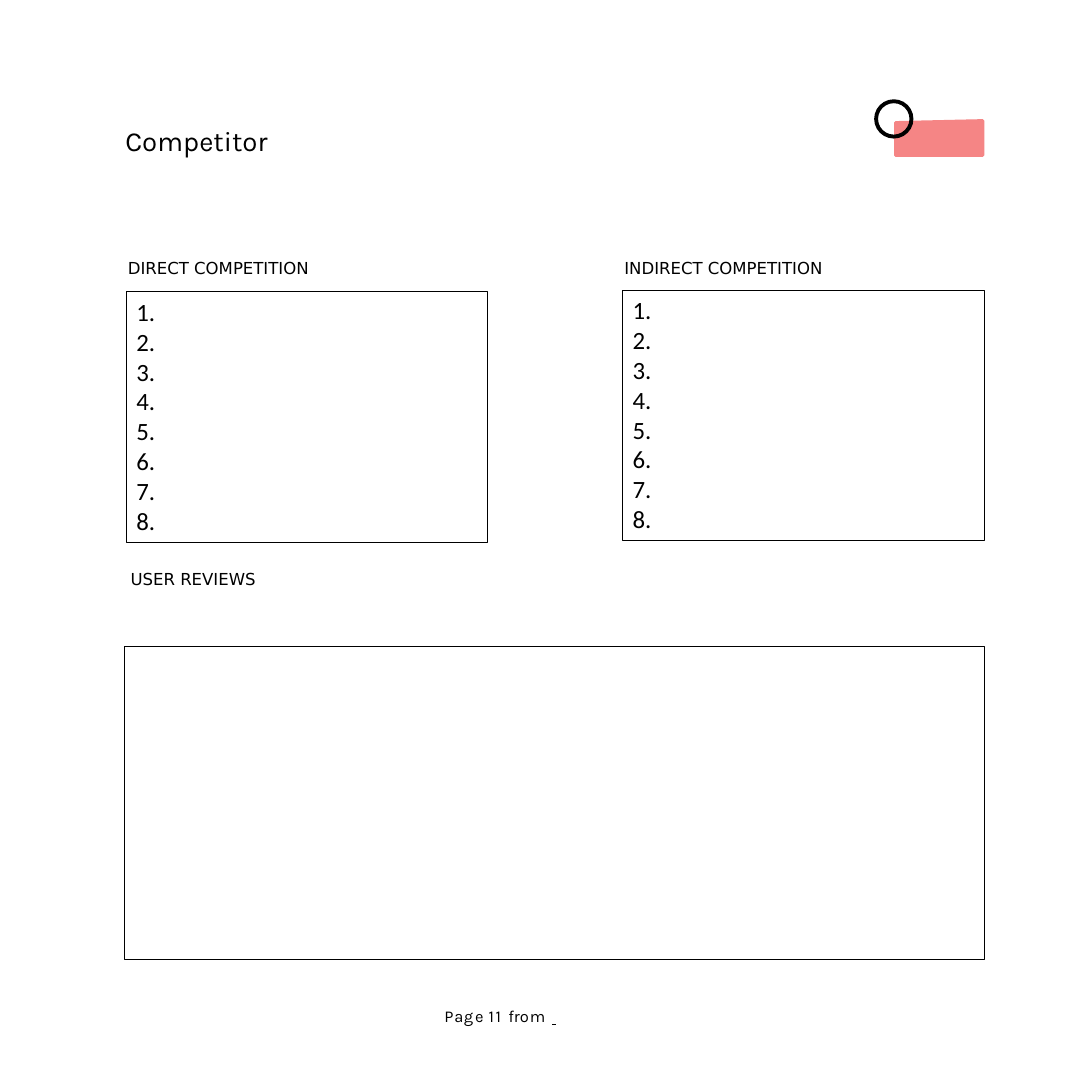
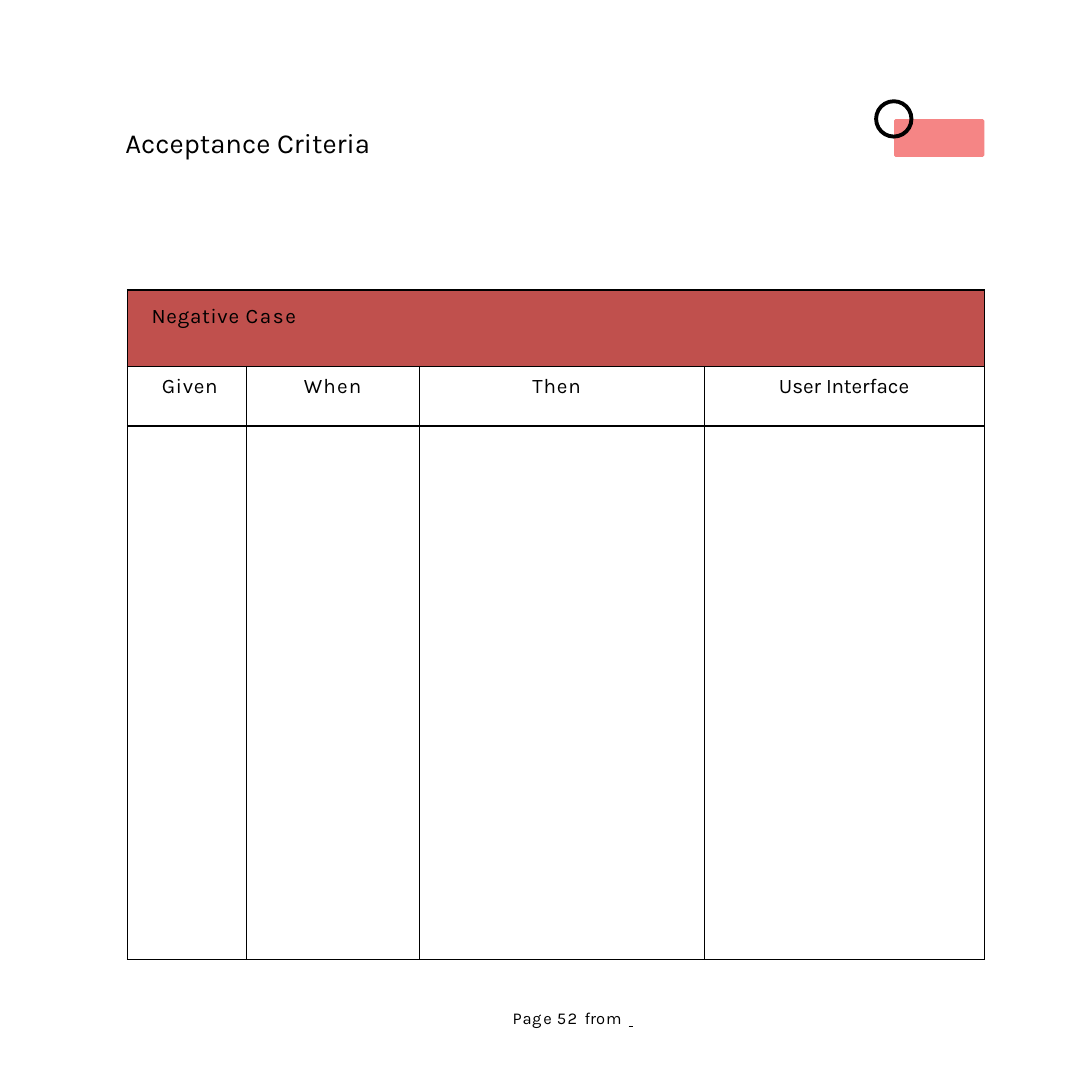
from dataclasses import dataclass
from typing import Optional

from lxml.etree import SubElement
from pptx import Presentation
from pptx.dml.color import RGBColor
from pptx.enum.shapes import MSO_SHAPE
from pptx.enum.text import MSO_ANCHOR, PP_ALIGN
from pptx.oxml.ns import qn
from pptx.util import Pt

COLORS = {"ink": "000000", "accent": "F58585", "negative": "C0504D"}
BODY_FONT = "Karla"
LABEL_FONT = "DejaVu Sans"
BLANK_FONT = "Times New Roman"
RIGHT = 713.9


@dataclass
class Box:
    left: float
    top: float
    width: float
    height: float

    def lengths(self) -> tuple:
        return Pt(self.left), Pt(self.top), Pt(self.width), Pt(self.height)


@dataclass
class Label:
    text: str
    box: Box


@dataclass
class Tracked:
    text: str
    spacing: float


@dataclass
class Heading:
    pieces: list[Tracked]
    align: PP_ALIGN = PP_ALIGN.LEFT
    left: float = 0
    right: float = 0


LABELS = [
    Label("DIRECT COMPETITION", Box(91.8, 186, 138.24, 15.84)),
    Label("INDIRECT COMPETITION", Box(451.9, 186, 151.92, 15.84)),
    Label("USER REVIEWS", Box(93.8, 411.84, 96.48, 15.84)),
]
LIST_BOXES = [Box(91.8, 211.68, 262.08, 181.44), Box(451.8, 210.5, 262.08, 181.44)]
REVIEW_BOX = Box(90, 469.1, 624, 226.8)
TABLE_BOX = Box(92.5, 210.3, 621.36, 486)
COLUMN_WIDTHS = [86.4, 125.28, 206.64, 203.04]
ROW_HEIGHTS = [55.44, 43.2, 387.2]
BANNER = [Tracked("Negative ", 0.5), Tracked("Case", 1.2)]
HEADINGS = [
    Heading([Tracked("Given", 0.5)], left=25),
    Heading([Tracked("When", 0.9)], PP_ALIGN.CENTER, right=0.5),
    Heading([Tracked("Then", 0.6)], PP_ALIGN.CENTER, right=7.5),
    Heading([Tracked("Use", -0.1), Tracked("r ", 0), Tracked("Inter", -0.1),
             Tracked("f", 0), Tracked("ac", -0.1), Tracked("e", 0)], left=54.2),
]


def color(name: str) -> RGBColor:
    return RGBColor.from_string(COLORS[name])


def write(paragraph, text: str, *, size: float, font: Optional[str] = BODY_FONT,
          spacing: float = 0, underline: bool = False) -> None:
    run = paragraph.add_run()
    run.text = text
    run.font.size = Pt(size)
    run.font.color.rgb = color("ink")
    if font:
        run.font.name = font
    if underline:
        run.font.underline = True
    if spacing:
        run._r.get_or_add_rPr().set("spc", str(round(spacing * 100)))


def write_tracked(paragraph, pieces: list[Tracked], size: float) -> None:
    for piece in pieces:
        write(paragraph, piece.text, size=size, spacing=piece.spacing)


def set_margins(target, left: float, top: float, right: float, bottom: float) -> None:
    target.margin_left, target.margin_top = Pt(left), Pt(top)
    target.margin_right, target.margin_bottom = Pt(right), Pt(bottom)


def add_text(slide, box: Box, inset: float = 0):
    frame = slide.shapes.add_textbox(*box.lengths()).text_frame
    frame.word_wrap = True
    set_margins(frame, 0.9, inset, 0, 0)
    return frame.paragraphs[0]


def add_outline(slide, box: Box):
    shape = slide.shapes.add_shape(MSO_SHAPE.RECTANGLE, *box.lengths())
    shape.shadow.inherit = False
    shape.fill.background()
    shape.line.color.rgb = color("ink")
    shape.line.width = Pt(0.75)
    return shape


def add_numbered_box(slide, box: Box, count: int = 8) -> None:
    frame = add_outline(slide, box).text_frame
    frame.vertical_anchor = MSO_ANCHOR.TOP
    set_margins(frame, 7.2, 3.6, 7.2, 3.6)
    for number in range(1, count + 1):
        paragraph = frame.paragraphs[0] if number == 1 else frame.add_paragraph()
        paragraph.alignment = PP_ALIGN.LEFT
        paragraph.line_spacing = Pt(21.6)
        write(paragraph, f"{number}.", size=18, font=None)


def fill_plain(shape, name: str) -> None:
    shape.shadow.inherit = False
    shape.fill.solid()
    shape.fill.fore_color.rgb = color(name)
    shape.line.fill.background()


def add_emblem(slide, slant: float) -> None:
    left, top, bottom, cut = 648.4, 86.4, 113.76, 1.08
    points = [
        (left + cut, top + slant), (RIGHT - cut, top), (RIGHT, top + cut),
        (RIGHT, bottom - cut), (RIGHT - cut, bottom), (left + cut, bottom),
        (left, bottom - cut), (left, top + slant + cut),
    ]
    corners = [(Pt(x), Pt(y)) for x, y in points]
    builder = slide.shapes.build_freeform(*corners[0])
    builder.add_line_segments(corners[1:], close=True)
    fill_plain(builder.convert_to_shape(), "accent")
    ring = slide.shapes.add_shape(MSO_SHAPE.DONUT, *Box(634, 72, 28.5, 28.5).lengths())
    ring.adjustments[0] = 0.1
    fill_plain(ring, "ink")


def add_footer(slide, page: int, left: float, top: float) -> None:
    paragraph = add_text(slide, Box(left, top, 101.52, 14.4))
    paragraph.line_spacing = Pt(14.1)
    tabs = SubElement(paragraph._p.get_or_add_pPr(), qn("a:tabLst"))
    SubElement(tabs, qn("a:tab"), pos=str(Pt(97.2)), algn="l")
    pieces = [
        Tracked("P", 0.7), Tracked("a", 0.2), Tracked("g", 1.4), Tracked("e ", 0.4),
        Tracked(f"{page} ", 1.2), Tracked("fr", -0.1), Tracked("o", 0.7),
        Tracked("m ", 1.1),
    ]
    write_tracked(paragraph, pieces, 12)
    write(paragraph, " \t", size=12, font=BLANK_FONT, underline=True)


def add_page(presentation, title: str, title_box: Box, inset: float, slant: float):
    slide = presentation.slides.add_slide(presentation.slide_layouts[6])
    write(add_text(slide, title_box, inset), title, size=20)
    add_emblem(slide, slant)
    return slide


def set_borders(cell) -> None:
    properties = cell._tc.get_or_add_tcPr()
    for position, side in enumerate(("lnL", "lnR", "lnT", "lnB")):
        line = SubElement(properties, qn(f"a:{side}"), w=str(Pt(1)))
        fill = SubElement(line, qn("a:solidFill"))
        SubElement(fill, qn("a:srgbClr"), val=COLORS["ink"])
        properties.insert(position, line)


def add_case_table(slide) -> None:
    table = slide.shapes.add_table(
        len(ROW_HEIGHTS), len(COLUMN_WIDTHS), *TABLE_BOX.lengths()).table
    table.first_row = table.horz_banding = False
    for column, width in zip(table.columns, COLUMN_WIDTHS):
        column.width = Pt(width)
    for row, height in zip(table.rows, ROW_HEIGHTS):
        row.height = Pt(height)
    for cell in table.iter_cells():
        cell.fill.background()
        set_borders(cell)

    banner = table.cell(0, 0)
    banner.merge(table.cell(0, len(COLUMN_WIDTHS) - 1))
    banner.fill.solid()
    banner.fill.fore_color.rgb = color("negative")
    set_margins(banner, 17.5, 10.8, 0, 0)
    write_tracked(banner.text_frame.paragraphs[0], BANNER, 15)

    for index, heading in enumerate(HEADINGS):
        cell = table.cell(1, index)
        set_margins(cell, heading.left, 5.76, heading.right, 0)
        paragraph = cell.text_frame.paragraphs[0]
        paragraph.alignment = heading.align
        write_tracked(paragraph, heading.pieces, 15)


def build_competitor(presentation) -> None:
    slide = add_page(presentation, "Competitor", Box(90, 88.56, 439.2, 25.2), 1.3, 1.44)
    for label in LABELS:
        write(add_text(slide, label.box, 1), label.text, size=12, font=LABEL_FONT)
    for box in LIST_BOXES:
        add_numbered_box(slide, box)
    add_outline(slide, REVIEW_BOX)
    add_footer(slide, 11, 321.3, 730.08)


def build_acceptance(presentation) -> None:
    slide = add_page(
        presentation, "Acceptance Criteria", Box(90, 90, 210.24, 25.2), 1, 0)
    add_case_table(slide)
    add_footer(slide, 52, 370.8, 731.52)


def main() -> None:
    presentation = Presentation()
    presentation.slide_width = presentation.slide_height = Pt(792)
    build_competitor(presentation)
    build_acceptance(presentation)
    presentation.save("out.pptx")


if __name__ == "__main__":
    main()
